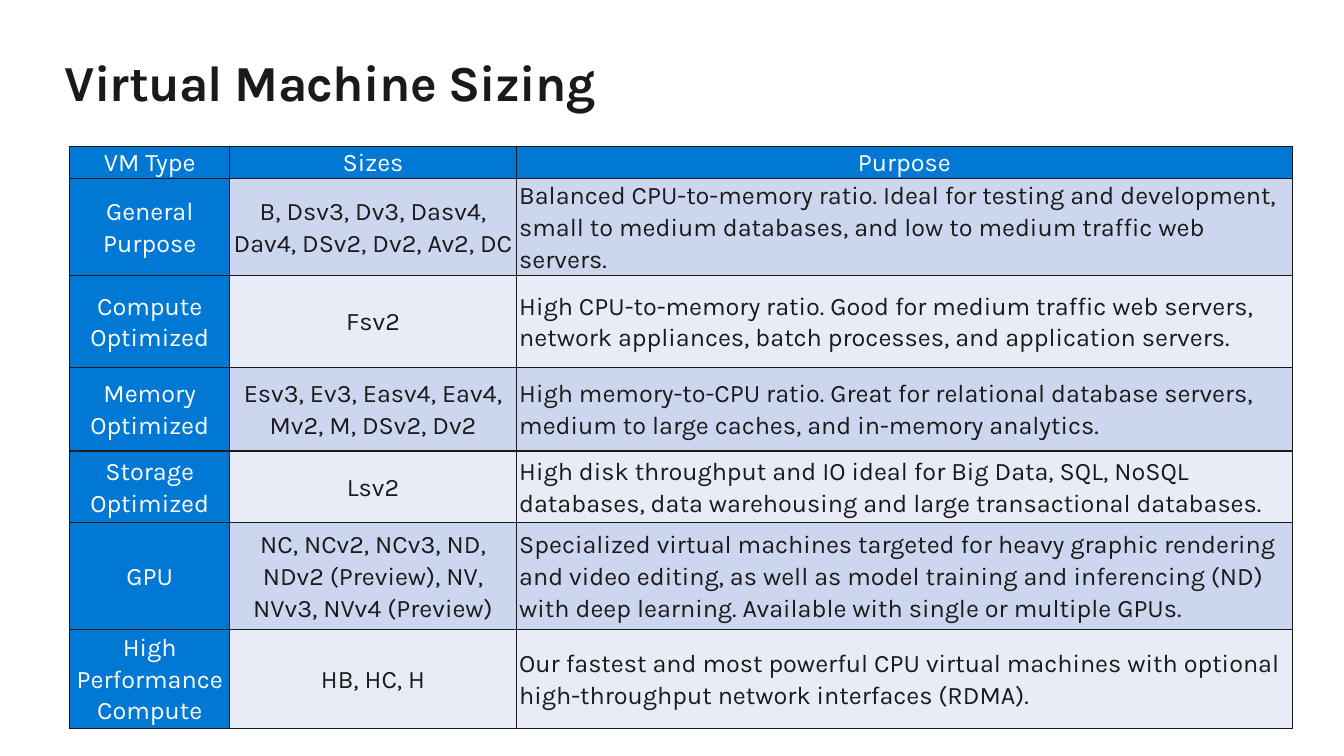
from pptx import Presentation
from pptx.util import Inches, Pt
from pptx.dml.color import RGBColor as RGB
from pptx.enum.text import MSO_ANCHOR as Anchor, MSO_AUTO_SIZE as Fit, PP_ALIGN as Align
from lxml.etree import fromstring

HUES = {"ink": "1A1A1A", "white": "FFFFFF", "blue": "0078D4", "mid": "CCD6EF", "pale": "E7ECF7"}
FONT = "Karla"
COLS = [1.59, 2.84, 7.7]
ROWS = [0.31, 0.94, 0.91, 0.83, 0.71, 1.06, 0.98]
DATA = [
    ("VM Type", "Sizes", "Purpose"),
    ("General Purpose", "B, Dsv3, Dv3, Dasv4, Dav4, DSv2, Dv2, Av2, DC",
     "Balanced CPU-to-memory ratio. Ideal for testing and development, small to medium "
     "databases, and low to medium traffic web servers."),
    ("Compute Optimized", "Fsv2",
     "High CPU-to-memory ratio. Good for medium traffic web servers, network appliances, "
     "batch processes, and application servers."),
    ("Memory Optimized", "Esv3, Ev3, Easv4, Eav4, Mv2, M, DSv2, Dv2",
     "High memory-to-CPU ratio. Great for relational database servers, medium to large "
     "caches, and in-memory analytics."),
    ("Storage Optimized", "Lsv2",
     "High disk throughput and IO ideal for Big Data, SQL, NoSQL databases, data "
     "warehousing and large transactional databases."),
    ("GPU", "NC, NCv2, NCv3, ND, NDv2 (Preview), NV, NVv3, NVv4 (Preview)",
     "Specialized virtual machines targeted for heavy graphic rendering and video editing, "
     "as well as model training and inferencing (ND) with deep learning. Available with "
     "single or multiple GPUs."),
    ("High Performance Compute", "HB, HC, H",
     "Our fastest and most powerful CPU virtual machines with optional high-throughput "
     "network interfaces (RDMA)."),
]


def style(para, size, hue):
    para.font.name = FONT
    para.font.size = Pt(size)
    para.font.color.rgb = RGB.from_string(HUES[hue])


def edge(cell):
    props = cell._tc.get_or_add_tcPr()
    for spot, side in enumerate("LRTB"):
        props.insert(spot, fromstring(
            f'<a:ln{side} xmlns:a="http://schemas.openxmlformats.org/drawingml/2006/main" '
            f'w="{Pt(1)}"><a:solidFill><a:srgbClr val="{HUES["ink"]}"/></a:solidFill></a:ln{side}>'))


deck = Presentation()
deck.slide_width, deck.slide_height = Inches(13.33), Inches(7.5)
slide = deck.slides.add_slide(deck.slide_layouts[5])

title = slide.shapes.title
title.left, title.top, title.width, title.height = map(Inches, (0.64, 0.5, 12.05, 0.61))
frame = title.text_frame
frame.text = "Virtual Machine Sizing"
frame.margin_left = frame.margin_right = frame.margin_top = frame.margin_bottom = 0
frame.auto_size = Fit.SHAPE_TO_FIT_TEXT
head = frame.paragraphs[0]
head.alignment = Align.LEFT
style(head, 36, "ink")
head.font.bold = True
head.runs[0]._r.get_or_add_rPr().set("spc", "-50")

grid = slide.shapes.add_table(len(ROWS), len(COLS), Inches(0.69), Inches(1.45),
                              Inches(sum(COLS)), Inches(sum(ROWS))).table
for col, width in zip(grid.columns, COLS):
    col.width = Inches(width)
for row, height in zip(grid.rows, ROWS):
    row.height = Inches(height)

for r, texts in enumerate(DATA):
    for c, text in enumerate(texts):
        label = r == 0 or c == 0
        cell = grid.cell(r, c)
        cell.text = text
        cell.margin_left = cell.margin_right = Inches(0.03)
        cell.margin_top = cell.margin_bottom = 0
        cell.vertical_anchor = Anchor.MIDDLE if r else Anchor.TOP
        cell.fill.solid()
        cell.fill.fore_color.rgb = RGB.from_string(
            HUES["blue" if label else "mid" if r % 2 else "pale"])
        edge(cell)
        para = cell.text_frame.paragraphs[0]
        para.alignment = Align.CENTER if r == 0 or c < 2 else Align.LEFT
        para.line_spacing = 1.07
        para.space_after = Pt(8)
        style(para, 18, "white" if label else "ink")
        para.font.bold = False

deck.save("out.pptx")
